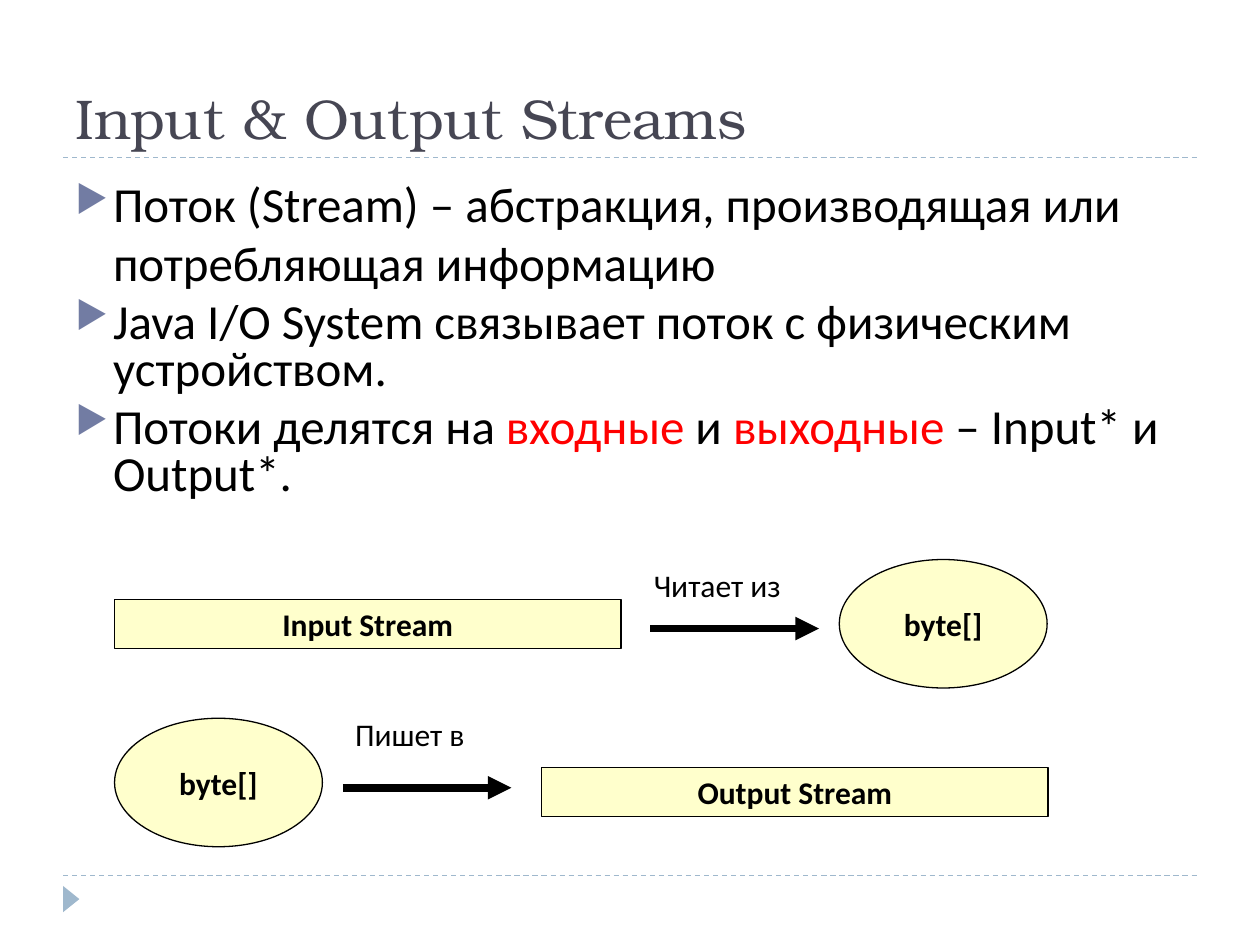
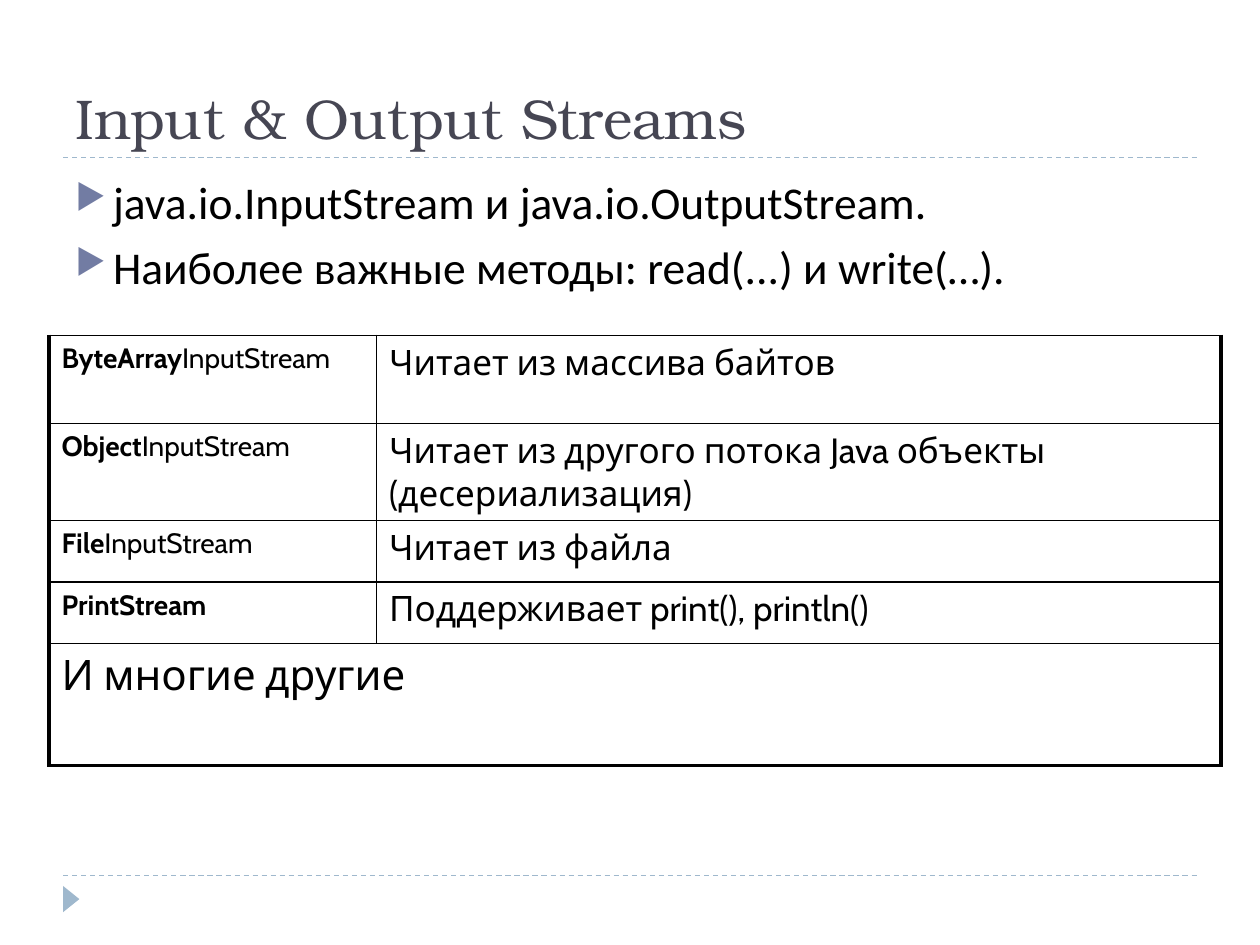
from lxml import etree
from pptx import Presentation
from pptx.dml.color import RGBColor
from pptx.enum.dml import MSO_LINE
from pptx.enum.shapes import MSO_CONNECTOR, MSO_SHAPE
from pptx.enum.text import MSO_ANCHOR, MSO_AUTO_SIZE, PP_ALIGN
from pptx.oxml.ns import qn
from pptx.util import Cm, Pt

BLACK, RED, CREAM = "000000", "FF0000", "FFFFCC"
TITLE_COLOR, BAND, BULLET = "464653", "9FB8CD", "727CA3"
TITLE_FONT, BODY_FONT, TABLE_FONT = "TeX Gyre Bonum", "Calibri", "Cabin"
TITLE = "Input & Output Streams"
MARGIN, CONTENT_W = 1.27, 22.86
BAR_W, BAR_H = 10.21, 0.99
OVAL_W, OVAL_H = 4.19, 2.59
ARROW_LEN = 3.4
THIN, THICK = 1, 2.25


def rgb(hex_color):
    return RGBColor.from_string(hex_color)


def add_run(p, text, size, font=BODY_FONT, color=BLACK, bold=False):
    r = p.add_run()
    r.text = text
    r.font.size, r.font.name, r.font.bold = Pt(size), font, bold
    r.font.color.rgb = rgb(color)


def sub(parent, tag, **attrs):
    return etree.SubElement(parent, qn(tag), attrs)


def add_line(s, x1, y1, x2, y2, color, width):
    line = s.shapes.add_connector(MSO_CONNECTOR.STRAIGHT, Cm(x1), Cm(y1), Cm(x2), Cm(y2))
    line.line.color.rgb = rgb(color)
    line.line.width = Pt(width)
    sub(line._element.spPr, "a:effectLst")
    return line


def add_arrow(s, left, y):
    arrow = add_line(s, left, y, left + ARROW_LEN, y, BLACK, 4.5)
    sub(arrow.line._get_or_add_ln(), "a:tailEnd", type="triangle")


def add_node(s, kind, left, top, width, height, text):
    sp = s.shapes.add_shape(kind, Cm(left), Cm(top), Cm(width), Cm(height))
    sp.shadow.inherit = False
    sp.fill.solid()
    sp.fill.fore_color.rgb = rgb(CREAM)
    sp.line.color.rgb = rgb(BLACK)
    sp.line.width = Pt(0.75)
    tf = sp.text_frame
    tf.word_wrap = False
    tf.vertical_anchor = MSO_ANCHOR.MIDDLE
    p = tf.paragraphs[0]
    p.alignment = PP_ALIGN.CENTER
    add_run(p, text, 18, bold=True)


def add_bar(s, left, top, text):
    add_node(s, MSO_SHAPE.RECTANGLE, left, top, BAR_W, BAR_H, text)


def add_bytes(s, left, top):
    add_node(s, MSO_SHAPE.OVAL, left, top, OVAL_W, OVAL_H, "byte[]")


def add_label(s, left, top, width, text):
    tf = s.shapes.add_textbox(Cm(left), Cm(top), Cm(width), Cm(1.02)).text_frame
    tf.word_wrap = False
    tf.auto_size = MSO_AUTO_SIZE.SHAPE_TO_FIT_TEXT
    add_run(tf.paragraphs[0], text, 18)


def add_base_slide(prs):
    """Add a slide with the shared title, dashed rules and corner marker."""
    s = prs.slides.add_slide(prs.slide_layouts[5])
    for y in (17.65, 3.18):
        rule = add_line(s, MARGIN, y, MARGIN + CONTENT_W, y, BAND, 0.75)
        rule.line.dash_style = MSO_LINE.DASH
    marker = s.shapes.add_shape(MSO_SHAPE.ISOSCELES_TRIANGLE,
                                Cm(1.17), Cm(17.96), Cm(0.53), Cm(0.33))
    marker.rotation = 90
    marker.shadow.inherit = False
    marker.fill.solid()
    marker.fill.fore_color.rgb = rgb(BAND)
    marker.line.fill.background()

    title = s.shapes.title
    title.left, title.top = Cm(MARGIN), Cm(0.43)
    title.width, title.height = Cm(CONTENT_W), Cm(2.74)
    tf = title.text_frame
    tf.vertical_anchor = MSO_ANCHOR.BOTTOM
    p = tf.paragraphs[0]
    p.alignment = PP_ALIGN.LEFT
    add_run(p, TITLE, 32, TITLE_FONT, TITLE_COLOR)
    return s


def add_bullets(s, left, top, width, height, size, items):
    """Each item is a line spacing (or None) and a list of (text, color) runs."""
    tf = s.shapes.add_textbox(Cm(left), Cm(top), Cm(width), Cm(height)).text_frame
    tf.word_wrap = True
    for i, (spacing, runs) in enumerate(items):
        p = tf.add_paragraph() if i else tf.paragraphs[0]
        p.line_spacing = spacing
        p.space_before = Pt(6)
        pPr = p._p.get_or_add_pPr()
        pPr.set("marL", str(Cm(0.76)))
        pPr.set("indent", str(-Cm(0.76)))
        sub(sub(pPr, "a:buClr"), "a:srgbClr", val=BULLET)
        sub(pPr, "a:buSzPct", val="76000")
        sub(pPr, "a:buChar", char="▶")
        for text, color in runs:
            add_run(p, text, size, color=color)


def add_reading_flow(s, left, top):
    add_bar(s, left, top + 0.81, "Input Stream")
    add_bytes(s, left + 14.61, top)
    add_arrow(s, left + 10.8, top + 1.39)
    add_label(s, left + 10.62, top, 3.38, "Читает из")


def add_writing_flow(s, left, top):
    add_bytes(s, left, top + 0.2)
    add_bar(s, left + 8.61, top + 1.19, "Output Stream")
    add_arrow(s, left + 4.6, top + 1.6)
    add_label(s, left + 4.6, top, 2.95, "Пишет в")


def set_borders(cell, widths):
    """Widths are in points, in the order left, right, top, bottom."""
    tcPr = cell._tc.get_or_add_tcPr()
    for i, (side, width) in enumerate(zip("LRTB", widths)):
        ln = etree.Element(qn(f"a:ln{side}"), w=str(Pt(width)))
        sub(sub(ln, "a:solidFill"), "a:srgbClr", val=BLACK)
        tcPr.insert(i, ln)


def fill_cell(cell, runs, size):
    p = cell.text_frame.paragraphs[0]
    p.space_before = Pt(0.2 * size)
    for text, bold in runs:
        add_run(p, text, size, TABLE_FONT, bold=bold)


def add_stream_table(s, left, top, col_widths, row_heights, streams, closing):
    n_rows, n_cols = len(row_heights), len(col_widths)
    table = s.shapes.add_table(n_rows, n_cols, Cm(left), Cm(top),
                               Cm(sum(col_widths)), Cm(sum(row_heights))).table
    table.first_row = table.horz_banding = False
    for col, width in zip(table.columns, col_widths):
        col.width = Cm(width)
    for row, height in zip(table.rows, row_heights):
        row.height = Cm(height)
    last = n_rows - 1
    for i in range(n_rows):
        for j in range(n_cols):
            cell = table.cell(i, j)
            cell.fill.background()
            set_borders(cell, (
                THICK if j == 0 else THIN,
                THICK if j == n_cols - 1 or i == last else THIN,
                THIN,
                THICK if i == last else THIN))
    for i, (prefix, suffix, purpose) in enumerate(streams):
        name = [(prefix, True)] + ([(suffix, False)] if suffix else [])
        fill_cell(table.cell(i, 0), name, 16)
        fill_cell(table.cell(i, 1), [(purpose, False)], 20)
    table.cell(last, 0).merge(table.cell(last, n_cols - 1))
    fill_cell(table.cell(last, 0), [(closing, False)], 24)


def build_flow_slide(prs):
    s = add_base_slide(prs)
    add_bullets(s, MARGIN, 3.38, CONTENT_W, 13.72, 28, [
        (None, [("Поток (Stream) – абстракция, производящая или "
                 "потребляющая информацию", BLACK)]),
        (0.8, [("Java I/O System связывает поток с физическим устройством.", BLACK)]),
        (0.8, [("Потоки делятся на ", BLACK), ("входные", RED), (" и ", BLACK),
               ("выходные", RED), (" – Input* и Output*.", BLACK)]),
    ])
    add_reading_flow(s, 2.31, 11.28)
    add_writing_flow(s, 2.31, 14.28)


def build_classes_slide(prs):
    s = add_base_slide(prs)
    add_bullets(s, MARGIN, 3.38, CONTENT_W, 13.72, 26, [
        (None, [("java.io.InputStream и java.io.OutputStream.", BLACK)]),
        (None, [("Наиболее важные методы: read(...) и write(…).", BLACK)]),
    ])
    add_stream_table(s, 0.99, 6.76, (6.6, 17.02), (1.78, 1.78, 1.24, 1.24, 2.46), [
        ("ByteArray", "InputStream", "Читает из массива байтов"),
        ("Object", "InputStream",
         "Читает из другого потока Java объекты (десериализация)"),
        ("File", "InputStream", "Читает из файла"),
        ("PrintStream", "", "Поддерживает print(), println()"),
    ], "И многие другие")


def main():
    prs = Presentation()
    prs.slide_width, prs.slide_height = Cm(25.4), Cm(19.05)
    build_flow_slide(prs)
    build_classes_slide(prs)
    prs.save("out.pptx")


if __name__ == "__main__":
    main()
